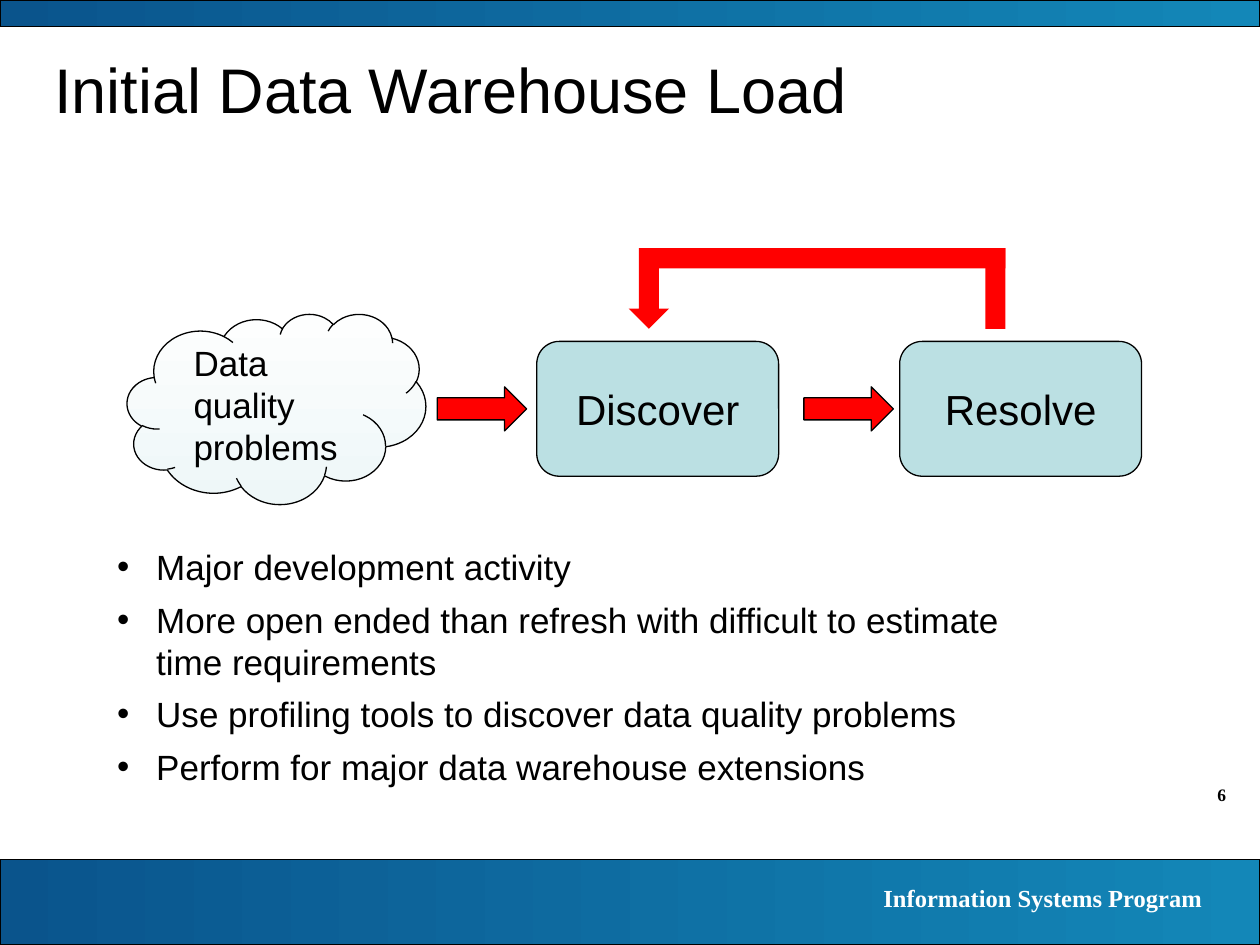
from dataclasses import dataclass

from pptx import Presentation
from pptx.dml.color import RGBColor
from pptx.enum.shapes import MSO_SHAPE
from pptx.enum.text import MSO_ANCHOR, MSO_AUTO_SIZE, PP_ALIGN
from pptx.util import Inches, Pt


@dataclass(frozen=True)
class Theme:
    """Hold the colours, fonts and type sizes of the slide."""
    ink: str = "000000"
    paper: str = "FFFFFF"
    band: tuple = ("0A548C", "1387B8")
    mist: tuple = ("FDFEFE", "EEF7F8")
    step: str = "BBE0E3"
    flow: str = "FF0000"
    sans: str = "Arial"
    serif: str = "Times New Roman"
    title_size: int = 36
    step_size: int = 24
    body_size: int = 20
    footer_size: int = 14
    number_size: int = 10
    outline: float = 0.75


THEME = Theme()


def inches(*lengths):
    """Convert several lengths to inches."""
    return [Inches(length) for length in lengths]


def style_text(paragraph, size, align=PP_ALIGN.LEFT, face=THEME.sans, color=THEME.ink, bold=False):
    """Set the font and alignment of a paragraph."""
    font = paragraph.font
    font.name, font.size, font.bold = face, Pt(size), bold
    font.color.rgb = RGBColor.from_string(color)
    paragraph.alignment = align


def place(part, box):
    """Move a placeholder to a box."""
    part.left, part.top, part.width, part.height = inches(*box)


def add_block(slide, preset, box, fill, angle=0, outlined=True):
    """Add a preset shape with a solid fill or a two-colour gradient."""
    block = slide.shapes.add_shape(preset, *inches(*box))
    block.shadow.inherit = False
    if isinstance(fill, tuple):
        block.fill.gradient()
        block.fill.gradient_angle = angle
        for stop, color in zip(block.fill.gradient_stops, fill):
            stop.color.rgb = RGBColor.from_string(color)
    else:
        block.fill.solid()
        block.fill.fore_color.rgb = RGBColor.from_string(fill)
    if outlined:
        block.line.color.rgb = RGBColor.from_string(THEME.ink)
        block.line.width = Pt(THEME.outline)
    else:
        block.line.fill.background()
    return block


def write_label(block, words, size, align):
    """Write a vertically centred label in a shape."""
    frame = block.text_frame
    frame.word_wrap = True
    frame.vertical_anchor = MSO_ANCHOR.MIDDLE
    frame.text = words
    style_text(frame.paragraphs[0], size, align)


def add_serif_note(slide, box, words, size, color):
    """Add a bold right-aligned line of serif text."""
    frame = slide.shapes.add_textbox(*inches(*box)).text_frame
    frame.word_wrap = True
    frame.text = words
    style_text(frame.paragraphs[0], size, PP_ALIGN.RIGHT, THEME.serif, color, True)


def add_header(slide, box):
    """Add the band along the top."""
    add_block(slide, MSO_SHAPE.RECTANGLE, box, THEME.band)


def add_footer(slide, box):
    """Add the bottom band with the program name and the page number above it."""
    left, top, width, _ = box
    add_block(slide, MSO_SHAPE.RECTANGLE, box, THEME.band)
    add_serif_note(slide, (left + width - 4.45, top + 0.14, 4.09, 0.34),
                   "Information Systems Program", THEME.footer_size, THEME.paper)
    add_serif_note(slide, (left + width - 1, top - 0.65, 0.83, 0.27),
                   "6", THEME.number_size, THEME.ink)


def fill_title(slide, box, words):
    """Write the title placeholder."""
    title = slide.shapes.title
    place(title, box)
    title.text_frame.text = words
    title.text_frame.auto_size = MSO_AUTO_SIZE.NONE
    title.text_frame.vertical_anchor = MSO_ANCHOR.MIDDLE
    style_text(title.text_frame.paragraphs[0], THEME.title_size)


def add_cycle(slide, box):
    """Draw the flow from problems to discovery and resolution, with its return arrow."""
    left, top, _, height = box
    cloud = add_block(slide, MSO_SHAPE.CLOUD, (left, top + 0.52, 2.37, height - 0.52), THEME.mist, 270)
    write_label(cloud, "Data quality problems", THEME.body_size, PP_ALIGN.LEFT)
    cloud.text_frame.margin_left = Inches(0.2)
    cloud.text_frame.margin_right = Inches(0)

    for offset, words in ((3.25, "Discover"), (6.13, "Resolve")):
        step = add_block(slide, MSO_SHAPE.ROUNDED_RECTANGLE,
                         (left + offset, top + 0.74, 1.92, 1.07), THEME.step)
        write_label(step, words, THEME.step_size, PP_ALIGN.CENTER)

    for offset in (2.46, 5.37):
        add_block(slide, MSO_SHAPE.RIGHT_ARROW, (left + offset, top + 1.1, 0.71, 0.35), THEME.flow)

    back_left, back_width, back_height, stem = left + 3.98, 2.99, 0.64, 0.16
    back = add_block(slide, MSO_SHAPE.BENT_UP_ARROW,
                     (back_left, top, back_width, back_height), THEME.flow, outlined=False)
    back.rotation = 180
    add_block(slide, MSO_SHAPE.RECTANGLE,
              (back_left + back_width - stem, top, stem, back_height), THEME.flow, outlined=False)


def fill_points(slide, box, points):
    """Write the bulleted list in the body placeholder."""
    body = slide.placeholders[1]
    place(body, box)
    frame = body.text_frame
    frame.text = "\n".join(points)
    frame.auto_size = MSO_AUTO_SIZE.NONE
    for paragraph in frame.paragraphs:
        style_text(paragraph, THEME.body_size)
        paragraph.space_before, paragraph.space_after = Pt(0), Pt(6)
        properties = paragraph._p.get_or_add_pPr()
        properties.set("marL", str(Inches(0.31)))
        properties.set("indent", str(-Inches(0.31)))


def main():
    """Build and save the slide."""
    deck = Presentation()
    deck.slide_width, deck.slide_height = inches(10, 7.5)
    slide = deck.slides.add_slide(deck.slide_layouts[1])
    add_header(slide, (0, 0, 10, 0.21))
    add_footer(slide, (0, 6.82, 10, 0.68))
    fill_title(slide, (0.33, 0.33, 9.17, 0.75), "Initial Data Warehouse Load")
    add_cycle(slide, (1.01, 1.97, 8.05, 2.03))
    fill_points(slide, (0.83, 4.28, 7.53, 2.04), (
        "Major development activity",
        "More open ended than refresh with difficult to estimate time requirements",
        "Use profiling tools to discover data quality problems",
        "Perform for major data warehouse extensions",
    ))
    deck.save("out.pptx")


if __name__ == "__main__":
    main()
